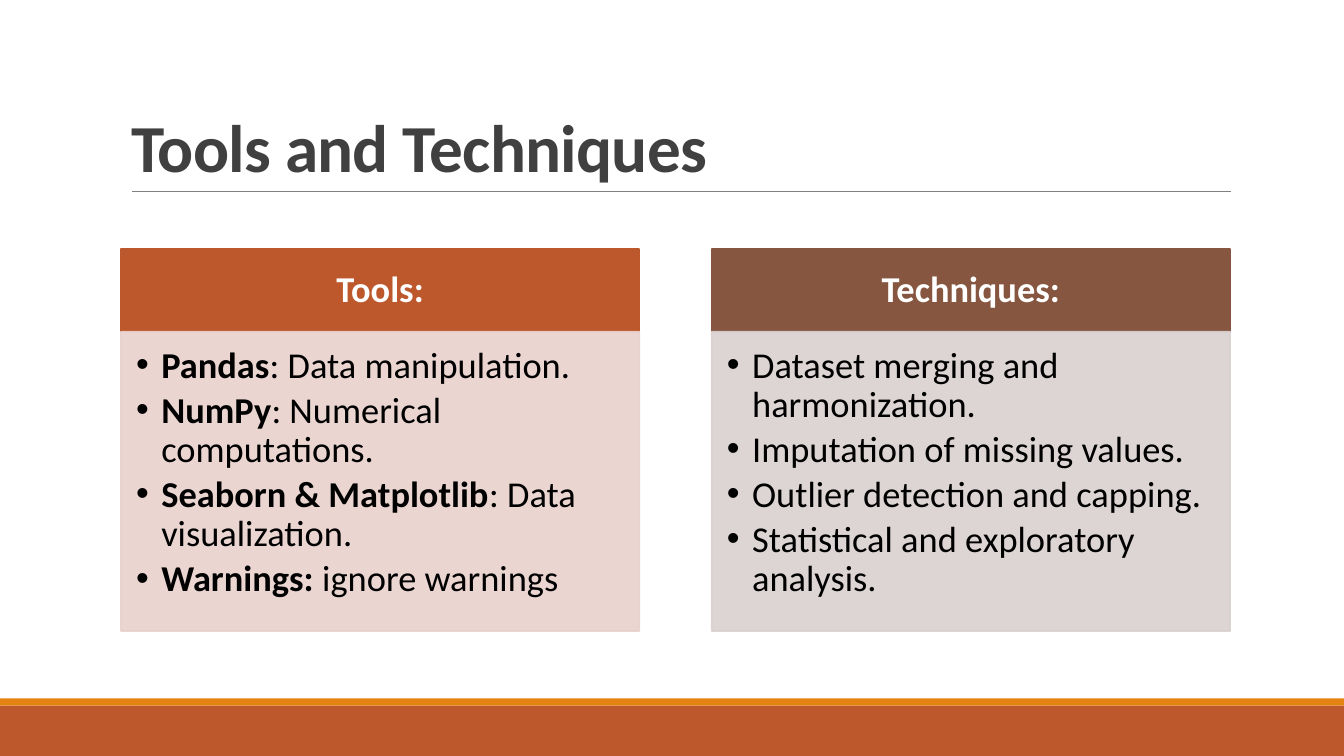
import pptx
import pptx.dml.color
import pptx.enum.shapes
import pptx.enum.text
import pptx.oxml.ns
import pptx.util
from lxml import etree

Inches = pptx.util.Inches
Pt = pptx.util.Pt
ALIGN = pptx.enum.text.PP_ALIGN
ANCHOR = pptx.enum.text.MSO_ANCHOR
qn = pptx.oxml.ns.qn

COLORS = {
    "rust": "BD582C", "orange": "E48312", "brown": "865640",
    "pink": "E8D1CD", "taupe": "D9D1CF", "rule": "808080",
    "title": "404040", "white": "FFFFFF", "black": "000000",
}
FRAME = {"word_wrap": True, "auto_size": pptx.enum.text.MSO_AUTO_SIZE.NONE}
TITLE = {
    "frame": {"vertical_anchor": ANCHOR.BOTTOM},
    "para": {"alignment": ALIGN.LEFT, "line_spacing": 0.85},
    "font": {"size": Pt(48), "name": "Calibri"},
    "color": "title",
}
HEAD = {
    "frame": {
        "vertical_anchor": ANCHOR.MIDDLE,
        "margin_left": Inches(0.2), "margin_right": Inches(0.2),
        "margin_top": Inches(0.12), "margin_bottom": Inches(0.12),
    },
    "para": {"alignment": ALIGN.CENTER, "line_spacing": 0.9, "space_before": Pt(0)},
    "font": {"size": Pt(26), "name": "Calibri"},
    "color": "white",
}
LIST = {
    "frame": {
        "vertical_anchor": ANCHOR.TOP,
        "margin_left": Inches(0.15), "margin_right": Inches(0.2),
        "margin_top": Inches(0.15), "margin_bottom": Inches(0.23),
    },
    "para": {
        "alignment": ALIGN.LEFT, "line_spacing": 0.9,
        "space_before": Pt(0), "space_after": Pt(4),
    },
    "font": {"size": Pt(26), "name": "Calibri"},
    "color": "black",
}
CARDS = [
    ("Tools:", "rust", "pink", [
        ("Pandas", ": Data manipulation."),
        ("NumPy", ": Numerical computations."),
        ("Seaborn & Matplotlib", ": Data visualization."),
        ("Warnings: ", "ignore warnings"),
    ]),
    ("Techniques:", "brown", "taupe", [
        ("", "Dataset merging and harmonization."),
        ("", "Imputation of missing values."),
        ("", "Outlier detection and capping."),
        ("", "Statistical and exploratory analysis."),
    ]),
]


def rgb(name):
    return pptx.dml.color.RGBColor.from_string(COLORS[name])


def apply(item, values):
    for key, value in values.items():
        setattr(item, key, value)


def place(shape, left, top, width, height):
    apply(shape, {
        "left": Inches(left), "top": Inches(top),
        "width": Inches(width), "height": Inches(height),
    })


def paint(shape, color, alpha=100):
    shape.fill.solid()
    shape.fill.fore_color.rgb = rgb(color)
    shape.line.color.rgb = rgb(color)
    shape.line.width = Pt(1.25)
    if alpha < 100:
        for node in shape.element.spPr.iter(qn("a:srgbClr")):
            etree.SubElement(node, qn("a:alpha"), val=str(alpha * 1000))


def bullet(para):
    props = para._p.get_or_add_pPr()
    props.set("marL", str(Inches(0.25)))
    props.set("indent", str(-Inches(0.25)))
    etree.SubElement(props, qn("a:buFont"), typeface="Arial")
    etree.SubElement(props, qn("a:buChar"), char="•")


def write(shape, rows, style, dots=False):
    frame = shape.text_frame
    apply(frame, {**FRAME, **style["frame"]})
    for index, row in enumerate(rows):
        para = frame.add_paragraph() if index else frame.paragraphs[0]
        apply(para, style["para"])
        if dots:
            bullet(para)
        for bold, text in zip((True, False), row):
            if text:
                run = para.add_run()
                run.text = text
                apply(run.font, {**style["font"], "bold": bold})
                run.font.color.rgb = rgb(style["color"])


def band(slide, top, height, color):
    kind = pptx.enum.shapes.MSO_SHAPE.RECTANGLE
    shape = slide.shapes.add_shape(
        kind, 0, Inches(top), Inches(13.33), Inches(height))
    shape.shadow.inherit = False
    shape.fill.solid()
    shape.fill.fore_color.rgb = rgb(color)
    shape.line.fill.background()


def rule(slide):
    kind = pptx.enum.shapes.MSO_CONNECTOR.STRAIGHT
    line = slide.shapes.add_connector(
        kind, Inches(1.31), Inches(1.9), Inches(12.21), Inches(1.9))
    line.line.color.rgb = rgb("rule")
    line.line.width = Pt(0.5)
    etree.SubElement(line.element.spPr, qn("a:effectLst"))


def heading(slide, text):
    shape = slide.shapes.title
    place(shape, 1.2, 0.31, 11, 1.59)
    write(shape, [(text,)], TITLE)
    run = shape.text_frame.paragraphs[0].runs[0]
    run.font._element.set("spc", "-50")


def card(head, body, left, data):
    label, dark, light, rows = data
    place(head, left, 2.47, 5.14, 0.82)
    paint(head, dark)
    write(head, [(label,)], HEAD)
    place(body, left, 3.29, 5.14, 2.97)
    paint(body, light, 90)
    write(body, rows, LIST, dots=True)


def main():
    deck = pptx.Presentation()
    deck.slide_width = Inches(13.33)
    deck.slide_height = Inches(7.5)
    slide = deck.slides.add_slide(deck.slide_layouts.get_by_name("Comparison"))
    band(slide, 7, 0.5, "rust")
    band(slide, 6.93, 0.07, "orange")
    rule(slide)
    heading(slide, "Tools and Techniques")
    slots = list(slide.placeholders)[1:]
    for index, data in enumerate(CARDS):
        head, body = slots[2 * index:2 * index + 2]
        card(head, body, 1.2 + 5.86 * index, data)
    deck.save("out.pptx")


if __name__ == "__main__":
    main()
